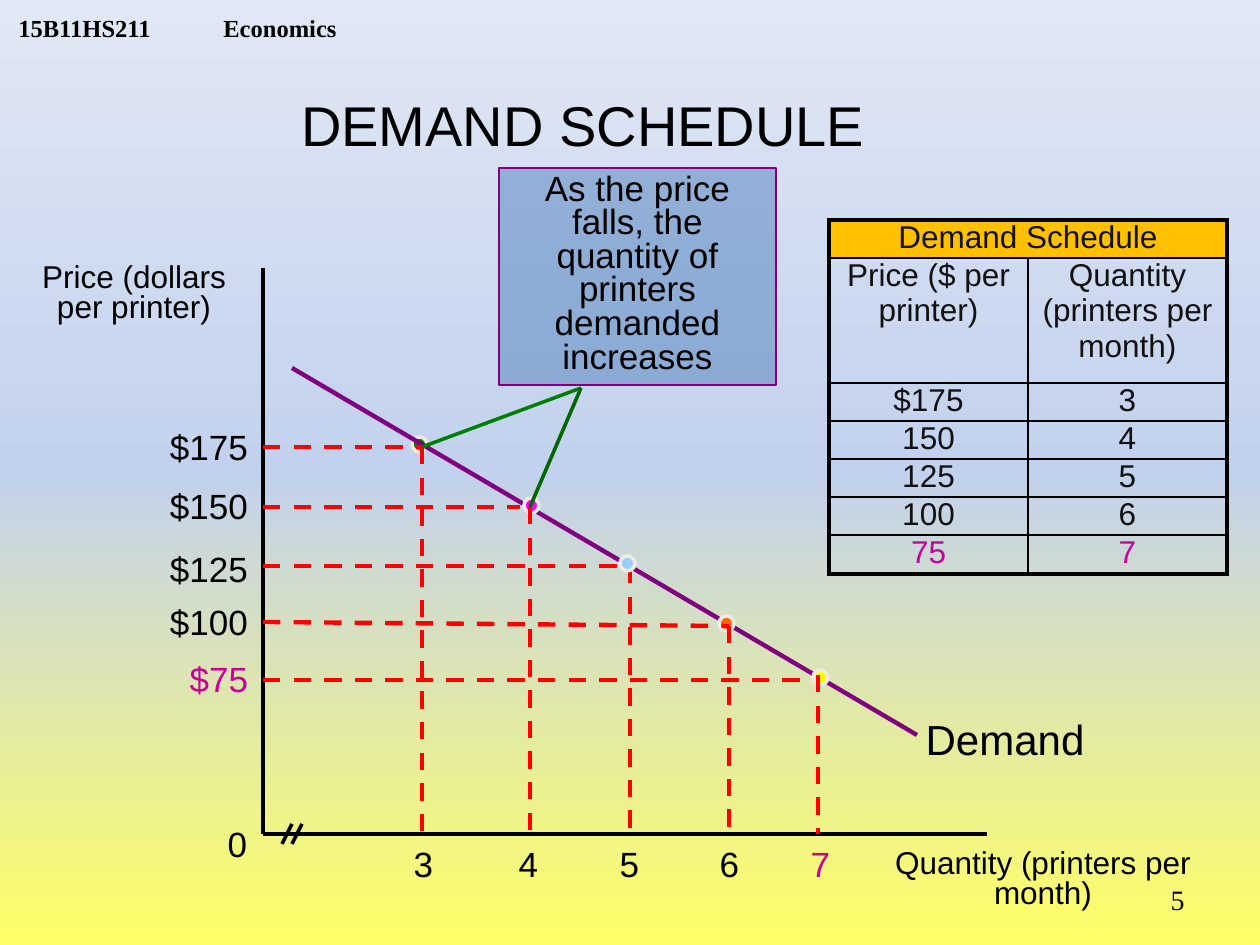
from copy import deepcopy

from pptx import Presentation
from pptx.dml.color import RGBColor
from pptx.enum.dml import MSO_LINE
from pptx.enum.shapes import MSO_CONNECTOR, MSO_SHAPE
from pptx.enum.text import MSO_ANCHOR as ANCHOR, MSO_AUTO_SIZE, PP_ALIGN as ALIGN
from pptx.oxml.ns import qn
from pptx.util import Emu, Inches, Pt
from lxml.etree import SubElement

PX_PER_INCH = 126
COLORS = {
    "black": "000000", "ink": "111111", "red": "FF0000", "purple": "800080",
    "accent": "CC0099", "gold": "FFC000", "ring": "EEECE1", "callout": "4F81BD",
    "green": "008000", "dark_green": "006600", "magenta": "FF00FF",
    "sky": "99CCFF", "orange": "FF6600", "yellow": "FFFF00",
    "bg_low": "FFFF66", "bg_mid": "C2D1ED", "bg_top": "E1E8F5",
}
AXIS_X, AXIS_Y = 263, 834
LABEL_W, LABEL_H, DOT = 110, 47, 15

# guide_y: left and right ends; guide_x: end of the level part, then the upright
POINTS = {
    "$175": dict(label=(154, 427), guide_y=(447, 447), guide_x=(422, 422), top=447,
                 dot=(412, 437), fill="green", quantity="3", quantity_x=379),
    "$150": dict(label=(154, 486), guide_y=(507, 507), guide_x=(520, 530), top=507,
                 dot=(524, 498), fill="magenta", quantity="4", quantity_x=484),
    "$125": dict(label=(154, 549), guide_y=(566, 566), guide_x=(630, 630), top=566,
                 dot=(620, 556), fill="sky", quantity="5", quantity_x=585),
    "$100": dict(label=(154, 602), guide_y=(622, 626), guide_x=(729, 729), top=626,
                 dot=(719, 616), fill="orange", quantity="6", quantity_x=685),
    "$75": dict(label=(164, 659), guide_y=(680, 680), guide_x=(809, 818), top=675,
                dot=(813, 670), fill="yellow", quantity="7", quantity_x=776),
}
ROWS = [
    ("Demand Schedule", ""),
    ("Price ($ per printer)", "Quantity (printers per month)"),
    ("$175", "3"), ("150", "4"), ("125", "5"), ("100", "6"), ("75", "7"),
]


def px(n):
    return Emu(round(n * Inches(1) / PX_PER_INCH))


def rgb(name):
    return RGBColor.from_string(COLORS[name])


def write(tf, text, size=20, color="black", font="Arial", bold=False,
          align=ALIGN.CENTER, spacing=None, anchor=ANCHOR.TOP, wrap=True):
    tf.word_wrap = wrap
    tf.auto_size = MSO_AUTO_SIZE.NONE
    tf.vertical_anchor = anchor
    p = tf.paragraphs[0]
    p.alignment = align
    p.line_spacing = spacing
    r = p.add_run()
    r.text = text
    r.font.size, r.font.name, r.font.bold = Pt(size), font, bold
    r.font.color.rgb = rgb(color)
    return p


def add_text(slide, box, text, **fmt):
    sp = slide.shapes.add_textbox(*map(px, box))
    return sp, write(sp.text_frame, text, **fmt)


def add_label(slide, box, text, **fmt):
    add_text(slide, box, text, spacing=0.8, **fmt)


def add_line(slide, start, end, color="black", width=2.5, dashed=False):
    ln = slide.shapes.add_connector(MSO_CONNECTOR.STRAIGHT, *map(px, start + end))
    ln.line.color.rgb = rgb(color)
    ln.line.width = Pt(width)
    if dashed:
        ln.line.dash_style = MSO_LINE.DASH
    SubElement(ln._element.spPr, qn("a:effectLst"))


def add_shape(slide, kind, box, fill, line, width):
    sp = slide.shapes.add_shape(kind, *map(px, box))
    sp.shadow.inherit = False
    sp.fill.solid()
    sp.fill.fore_color.rgb = rgb(fill)
    sp.line.color.rgb = rgb(line)
    sp.line.width = Pt(width)
    return sp


def add_dot(slide, point):
    add_shape(slide, MSO_SHAPE.OVAL, point["dot"] + (DOT, DOT), point["fill"], "ring", 2)


def add_guides(slide, point):
    (left_y, right_y), (level_x, upright_x) = point["guide_y"], point["guide_x"]
    add_line(slide, (AXIS_X, left_y), (level_x, right_y), "red", dashed=True)
    add_line(slide, (upright_x, point["top"]), (upright_x, AXIS_Y), "red", dashed=True)


def set_background(slide):
    """Vertical gradient, its first stop at the bottom."""
    fill = slide.background.fill
    fill.gradient()
    fill.gradient_angle = 90
    stops = slide._element.find(".//" + qn("a:gsLst"))
    stops.insert(1, deepcopy(stops[0]))
    names = ("bg_low", "bg_mid", "bg_top")
    for stop, name, place in zip(fill.gradient_stops, names, (0, 0.5, 1)):
        stop.color.rgb = rgb(name)
        stop.position = place


def set_borders(cell, **widths):
    """Widths in points, given in the order L, R, T, B; set before the fill."""
    for side, width in widths.items():
        ln = SubElement(cell._tc.get_or_add_tcPr(), qn("a:ln" + side), w=str(Pt(width)))
        SubElement(SubElement(ln, qn("a:solidFill")), qn("a:srgbClr"), val=COLORS["black"])


def add_schedule(slide):
    table = slide.shapes.add_table(len(ROWS), 2, px(829), px(220), px(398), px(354)).table
    table.first_row = table.horz_banding = False
    last = len(ROWS) - 1
    for i, height in enumerate([38, 125] + [38] * 4 + [39]):
        table.rows[i].height = px(height)
    for i, row in enumerate(ROWS):
        for j, text in enumerate(row):
            cell = table.cell(i, j)
            cell.margin_top = cell.margin_bottom = 0
            set_borders(cell, L=1 if j else 2.25, R=2.25 if j or not i else 1,
                        T=1 if i else 2.25, B=2.25 if i == last else 1)
            if i:
                cell.fill.background()
            else:
                cell.fill.solid()
                cell.fill.fore_color.rgb = rgb("gold")
            if text:
                p = cell.text_frame.paragraphs[0]
                p.alignment = ALIGN.CENTER
                r = p.add_run()
                r.text = text
                r.font.size, r.font.name = Pt(18), "Arial"
                r.font.color.rgb = rgb("accent" if i == last else "ink")
    table.cell(0, 0).merge(table.cell(0, 1))


def add_header(slide):
    sp, p = add_text(slide, (6, 0, 403, 42), "15B11HS211\tEconomics", size=14, bold=True,
                     font="Times New Roman", align=ALIGN.LEFT, anchor=ANCHOR.BOTTOM)
    sp.text_frame.margin_top = sp.text_frame.margin_bottom = 0
    tabs = SubElement(p._p.get_or_add_pPr(), qn("a:tabLst"))
    SubElement(tabs, qn("a:tab"), pos=str(px(205)), algn="l")


def add_title(slide):
    title = slide.shapes.title
    title.left, title.top, title.width, title.height = map(px, (283, 84, 600, 79))
    write(title.text_frame, "DEMAND SCHEDULE", size=32, wrap=False)


def add_axes(slide):
    add_line(slide, (AXIS_X, 268), (AXIS_X, AXIS_Y))
    add_line(slide, (AXIS_X, AXIS_Y), (987, AXIS_Y))
    for x in (282, 292):
        add_line(slide, (x + 10, 824), (x, 844), width=2)
    add_label(slide, (25, 258, 218, 74), "Price (dollars per printer)", size=18)
    add_label(slide, (858, 844, 370, 74), "Quantity (printers per month)", size=18)
    add_label(slide, (213, 824, 49, LABEL_H), "0")
    for price, point in POINTS.items():
        color = "accent" if price == "$75" else "black"
        add_label(slide, point["label"] + (LABEL_W, LABEL_H), price, color=color)
        add_label(slide, (point["quantity_x"], 844, 89, LABEL_H), point["quantity"], color=color)


def add_demand(slide):
    """The first dot lies under the curve and the third one over its guides."""
    first, second, third, *rest = POINTS.values()
    add_guides(slide, third)
    add_dot(slide, first)
    add_line(slide, (292, 368), (917, 735), "purple")
    add_label(slide, (906, 717, 198, 53), "Demand", size=24)
    for point in (second, third, *rest):
        add_dot(slide, point)
    for point in (first, second, *rest):
        add_guides(slide, point)


def add_callout(slide):
    sp = add_shape(slide, MSO_SHAPE.RECTANGLE, (499, 168, 277, 217), "callout", "purple", 0.75)
    color = sp._element.spPr.find(qn("a:solidFill"))[0]
    SubElement(color, qn("a:alpha"), val="50000")
    write(sp.text_frame, "As the price falls, the quantity of printers demanded increases",
          spacing=0.8)
    add_line(slide, (581, 388), (422, 447), "green", 2)
    add_line(slide, (581, 388), (530, 507), "dark_green", 2)


def main():
    prs = Presentation()
    prs.slide_width, prs.slide_height = px(1260), px(945)
    slide = prs.slides.add_slide(prs.slide_layouts[5])
    set_background(slide)
    add_header(slide)
    add_title(slide)
    add_axes(slide)
    add_schedule(slide)
    add_demand(slide)
    add_callout(slide)
    add_text(slide, (903, 876, 294, 50), "5", size=16, font="Times New Roman",
             align=ALIGN.RIGHT)
    prs.save("out.pptx")


if __name__ == "__main__":
    main()
